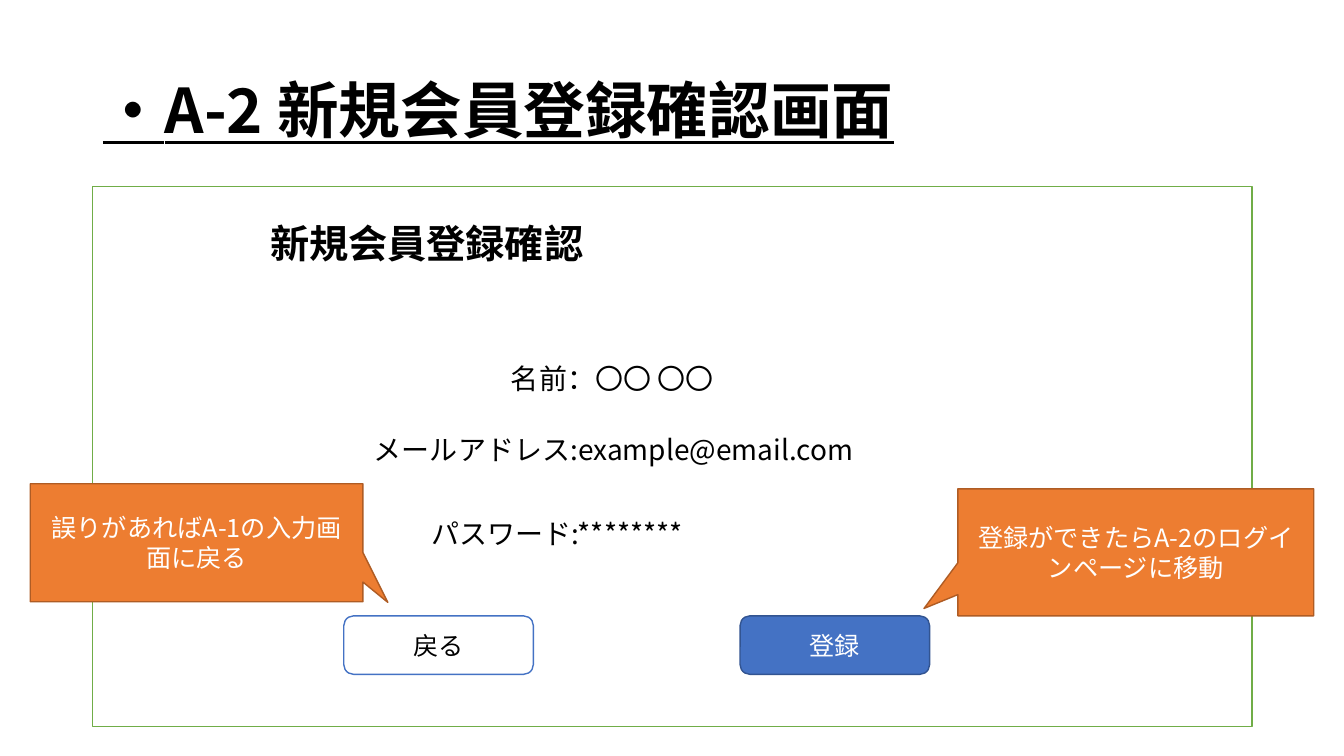
from dataclasses import dataclass

from lxml.etree import SubElement
from pptx import Presentation
from pptx.dml.color import RGBColor
from pptx.enum.shapes import MSO_SHAPE
from pptx.enum.text import MSO_ANCHOR, MSO_AUTO_SIZE, PP_ALIGN
from pptx.oxml.ns import qn
from pptx.util import Inches, Pt


@dataclass(frozen=True)
class Theme:
    """Colours, font and type sizes of the slide."""
    font: str = "Noto Sans CJK JP"
    black: str = "000000"
    white: str = "FFFFFF"
    frame: str = "70AD47"
    blue: str = "4472C4"
    blue_edge: str = "325491"
    orange: str = "ED7D31"
    orange_edge: str = "AF5C24"
    title: int = 44
    heading: int = 28
    field: int = 20
    label: int = 18


THEME = Theme()


def write(frame, text, size, color, bold=False, underline=False, align=PP_ALIGN.LEFT):
    """Write one formatted run into the first paragraph of a text frame."""
    frame.word_wrap = True
    para = frame.paragraphs[0]
    para.alignment = align
    span = para.add_run()
    span.text = text
    span.font.size = Pt(size)
    span.font.bold = bold
    span.font.underline = underline
    span.font.color.rgb = RGBColor.from_string(color)
    span.font.name = THEME.font
    properties = span.font._element
    SubElement(properties, qn("a:ea")).set("typeface", THEME.font)


def add_title(page, box, text):
    """Place the underlined page title in its placeholder."""
    title = page.shapes.title
    title.left, title.top, title.width, title.height = map(Inches, box)
    frame = title.text_frame
    frame.auto_size = MSO_AUTO_SIZE.NONE
    frame.vertical_anchor = MSO_ANCHOR.MIDDLE
    write(frame, text, THEME.title, THEME.black, bold=True, underline=True)
    frame.paragraphs[0].line_spacing = 0.9


def add_panel(page, kind, box, fill, line):
    """Add a filled and outlined shape without a shadow."""
    panel = page.shapes.add_shape(kind, *map(Inches, box))
    panel.shadow.inherit = False
    panel.fill.solid()
    panel.fill.fore_color.rgb = RGBColor.from_string(fill)
    panel.line.color.rgb = RGBColor.from_string(line)
    panel.line.width = Pt(1)
    return panel


def add_label(panel, text, color):
    """Centre a label inside a shape."""
    panel.text_frame.vertical_anchor = MSO_ANCHOR.MIDDLE
    write(panel.text_frame, text, THEME.label, color, align=PP_ALIGN.CENTER)


def add_text(page, box, text, size, bold=False):
    """Add a plain line of black text."""
    frame = page.shapes.add_textbox(*map(Inches, box)).text_frame
    write(frame, text, size, THEME.black, bold=bold)


def add_button(page, box, text, fill, line, color):
    """Add a rounded form button."""
    add_label(add_panel(page, MSO_SHAPE.ROUNDED_RECTANGLE, box, fill, line), text, color)


def add_callout(page, box, text, tip):
    """Add an orange note whose tip is given relative to its centre."""
    note = add_panel(page, MSO_SHAPE.RECTANGULAR_CALLOUT, box, THEME.orange, THEME.orange_edge)
    note.adjustments[0], note.adjustments[1] = tip
    add_label(note, text, THEME.white)


def add_form(page, box):
    """Draw the confirmation screen with its fields and buttons."""
    left, top, width, height = box
    add_panel(page, MSO_SHAPE.RECTANGLE, box, THEME.white, THEME.frame)
    add_text(page, (left + 1.66, top + 0.28, 5.55, 0.57), "新規会員登録確認", THEME.heading, bold=True)
    fields = [
        (4.05, 1.69, 4.97, "名前：〇〇 〇〇"),
        (2.69, 2.39, 5.89, "メールアドレス:example@email.com"),
        (3.26, 3.23, 4.97, "パスワード:********"),
    ]
    for x, y, field_width, text in fields:
        add_text(page, (left + x, top + y, field_width, 0.44), text, THEME.field)
    buttons = [
        (2.49, "戻る", THEME.white, THEME.blue, THEME.black),
        (6.42, "登録", THEME.blue, THEME.blue_edge, THEME.white),
    ]
    for x, text, fill, line, color in buttons:
        add_button(page, (left + x, top + height - 1.1, 1.88, 0.58), text, fill, line, color)


def main():
    """Build and save the slide."""
    deck = Presentation()
    deck.slide_width, deck.slide_height = Inches(13.33), Inches(7.5)
    page = deck.slides.add_slide(deck.slide_layouts.get_by_name("Title Only"))
    add_title(page, (0.92, 0.4, 11.5, 1.45), "・A-2 新規会員登録確認画面")
    add_form(page, (0.92, 1.85, 11.5, 5.36))
    add_callout(page, (9.5, 4.85, 3.53, 1.26), "登録ができたらA-2のログインページに移動", (-0.595, 0.442))
    add_callout(page, (0.3, 4.8, 3.3, 1.17), "誤りがあればA-1の入力画面に戻る", (0.575, 0.506))
    deck.save("out.pptx")


if __name__ == "__main__":
    main()
